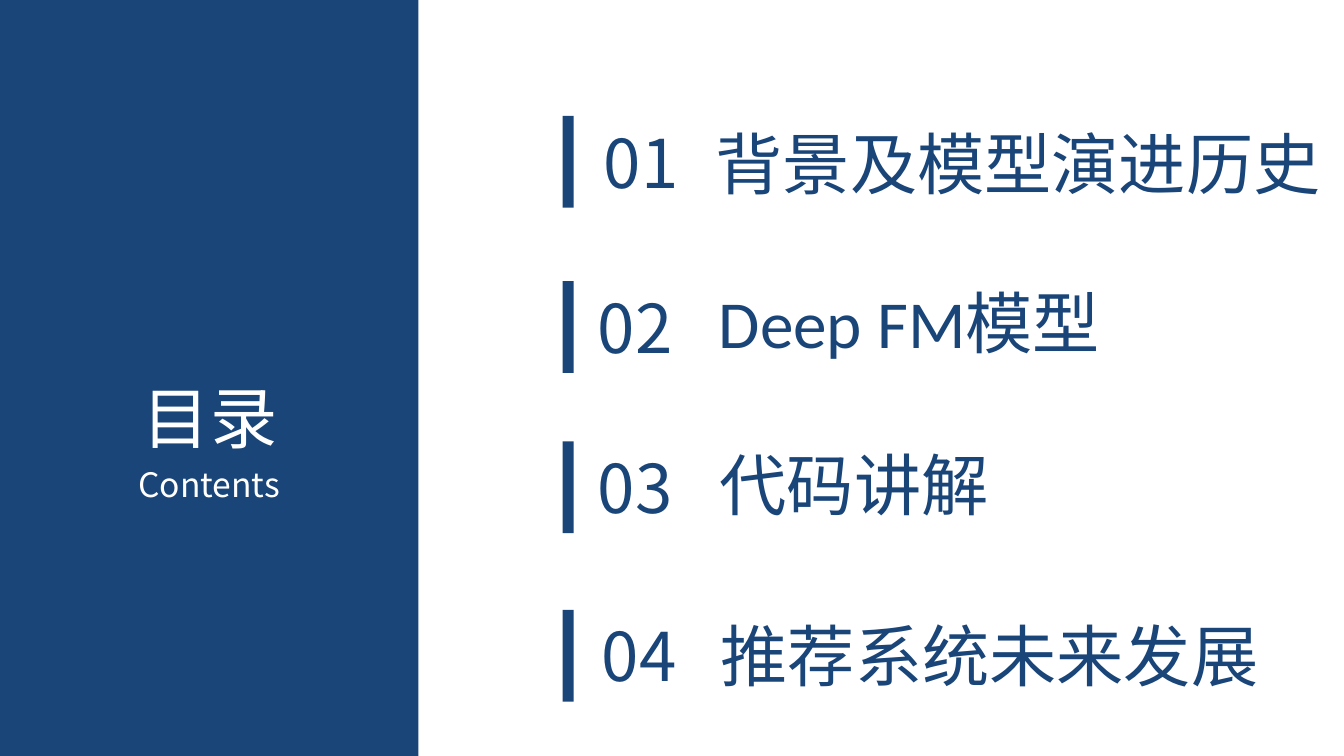
from dataclasses import dataclass

import pptx
import pptx.dml.color
import pptx.enum.shapes
import pptx.enum.text
import pptx.oxml
import pptx.oxml.ns
import pptx.util
from pptx.shapes.autoshape import Shape
from pptx.slide import Slide

SLIDE_WIDTH, SLIDE_HEIGHT = 13.33, 7.5
COLORS = {"navy": "194579", "white": "FFFFFF"}
CJK_FONT, LATIN_FONT = "Noto Sans CJK SC", "Calibri"
BAR_LEFT, BAR_WIDTH = 5.58, 0.11
ROW_HEIGHT = 0.91
ALIGN = pptx.enum.text.PP_ALIGN


@dataclass
class Chapter:
    number: str
    topic: str
    bar_top: float
    number_left: float
    topic_left: float
    topic_top: float
    topic_width: float
    topic_font: str = CJK_FONT
    number_width: float = 1.1


CHAPTERS = [
    Chapter("01", "背景及模型演进历史", 1.15, 5.81, 7.0, 1.16, 6.22, LATIN_FONT),
    Chapter("02", "Deep FM模型", 2.79, 5.75, 7.03, 2.74, 4.24, LATIN_FONT),
    Chapter("03", "代码讲解", 4.38, 5.75, 7.04, 4.35, 2.97),
    Chapter("04", "推荐系统未来发展", 6.05, 5.76, 7.05, 6.05, 5.68, number_width=1.16),
]


def inches(*lengths: float) -> list[pptx.util.Length]:
    return [pptx.util.Inches(length) for length in lengths]


def rgb(color: str) -> pptx.dml.color.RGBColor:
    return pptx.dml.color.RGBColor.from_string(COLORS[color])


def add_block(slide: Slide, left: float, top: float, width: float, height: float) -> Shape:
    block = slide.shapes.add_shape(
        pptx.enum.shapes.MSO_SHAPE.RECTANGLE, *inches(left, top, width, height)
    )
    block.shadow.inherit = False
    block.fill.solid()
    block.fill.fore_color.rgb = rgb("navy")
    block.line.fill.background()
    return block


def write(holder: Shape, text: str, size: int, color: str, align: ALIGN,
          font_name: str = CJK_FONT) -> None:
    frame = holder.text_frame
    frame.text = text
    frame_format = {
        "word_wrap": True,
        "auto_size": pptx.enum.text.MSO_AUTO_SIZE.SHAPE_TO_FIT_TEXT,
        "vertical_anchor": pptx.enum.text.MSO_ANCHOR.TOP,
    }
    for name, value in frame_format.items():
        setattr(frame, name, value)
    paragraph = frame.paragraphs[0]
    paragraph.alignment = align
    paragraph.space_before = pptx.util.Pt(0)
    font = paragraph.runs[0].font
    for name, value in {"size": pptx.util.Pt(size), "name": font_name}.items():
        setattr(font, name, value)
    font.color.rgb = rgb(color)
    east_asian = pptx.oxml.parse_xml(
        f'<a:ea {pptx.oxml.ns.nsdecls("a")} typeface="{CJK_FONT}"/>'
    )
    paragraph.runs[0].font.fill  # keeps the colour ahead of the typefaces
    paragraph.runs[0]._r.rPr.find(pptx.oxml.ns.qn("a:latin")).addnext(east_asian)


def place(holder: Shape, left: float, top: float, width: float, height: float) -> None:
    for name, value in zip(("left", "top", "width", "height"),
                           inches(left, top, width, height)):
        setattr(holder, name, value)


def add_chapter(slide: Slide, chapter: Chapter) -> None:
    add_block(slide, BAR_LEFT, chapter.bar_top, BAR_WIDTH, ROW_HEIGHT)
    number = slide.shapes.add_textbox(
        *inches(chapter.number_left, chapter.bar_top, chapter.number_width, ROW_HEIGHT)
    )
    write(number, chapter.number, 48, "navy", ALIGN.CENTER)
    topic = slide.shapes.add_textbox(
        *inches(chapter.topic_left, chapter.topic_top, chapter.topic_width, ROW_HEIGHT)
    )
    write(topic, chapter.topic, 48, "navy", ALIGN.LEFT, chapter.topic_font)


def main() -> None:
    deck = pptx.Presentation()
    deck.slide_width, deck.slide_height = inches(SLIDE_WIDTH, SLIDE_HEIGHT)
    slide = deck.slides.add_slide(deck.slide_layouts[0])

    panel = add_block(slide, 0, 0, 4.15, SLIDE_HEIGHT)
    title, subtitle = slide.placeholders
    title.element.addprevious(panel.element)
    place(title, 1.18, 3.68, 1.81, ROW_HEIGHT)
    write(title, "目录", 48, "white", ALIGN.CENTER)
    place(subtitle, 1.08, 4.55, 1.99, 0.5)
    write(subtitle, "Contents", 24, "white", ALIGN.CENTER)

    for chapter in CHAPTERS:
        add_chapter(slide, chapter)
    deck.save("out.pptx")


if __name__ == "__main__":
    main()
